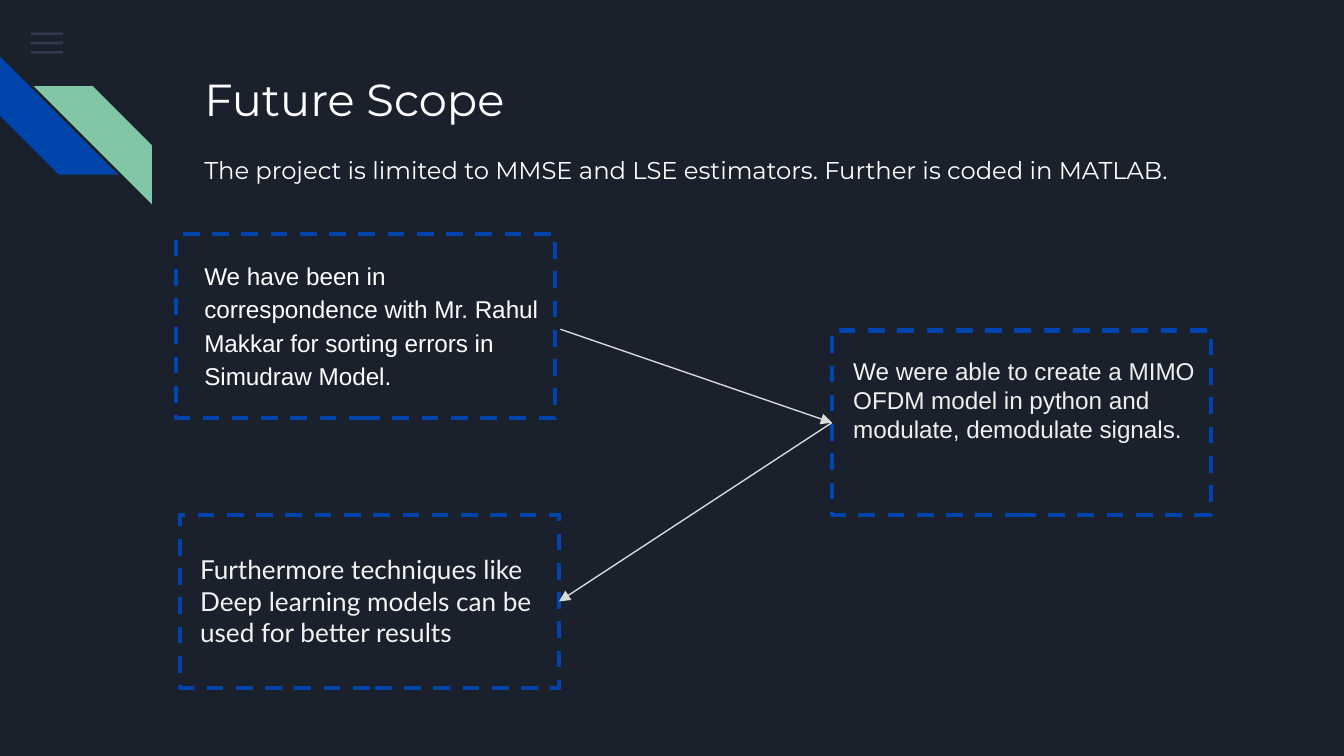
from lxml.etree import SubElement
from pptx import Presentation
from pptx.dml.color import RGBColor
from pptx.enum.dml import MSO_LINE_DASH_STYLE as Dash
from pptx.enum.shapes import MSO_CONNECTOR as Connector, MSO_SHAPE as Shape
from pptx.enum.text import MSO_ANCHOR as Anchor, MSO_AUTO_SIZE as AutoSize, PP_ALIGN as Align
from pptx.oxml.ns import qn
from pptx.util import Inches, Pt

NAVY, SLATE, BLUE, GREEN = "1B212C", "55688B", "0145AC", "82C7A5"
WHITE, LIGHT, PALE, GREY = "FFFFFF", "EFEFEF", "F3F3F3", "D9D9D9"


def color(value):
    return RGBColor.from_string(value)


def add_shape(page, kind, area, fill=None):
    shape = page.shapes.add_shape(kind, *map(Inches, area))
    shape.shadow.inherit = False
    shape.line.fill.background()
    if fill:
        shape.fill.solid()
        shape.fill.fore_color.rgb = color(fill)
    else:
        shape.fill.background()
    return shape


def add_menu_bar(page, top):
    bar = add_shape(page, Shape.RECTANGLE, (0.23, top, 0.24, 0.02), SLATE)
    tint = bar.fill._xPr.find(".//" + qn("a:srgbClr"))
    SubElement(tint, qn("a:alpha"), val="36000")


def add_stripe(page, left, top, rotation, fill):
    stripe = add_shape(page, Shape.DIAGONAL_STRIPE, (left, top, 0.88, 0.88), fill)
    stripe.rotation = rotation


def add_frame(page, area):
    frame = add_shape(page, Shape.RECTANGLE, area)
    frame.line.color.rgb = color(BLUE)
    frame.line.width = Pt(2.25)
    frame.line.dash_style = Dash.DASH
    return frame


def write(box, area, text, size, font, ink, spacing=1.0):
    box.left, box.top, box.width, box.height = map(Inches, area)
    frame = box.text_frame
    frame.text = text
    frame.word_wrap = True
    frame.auto_size = AutoSize.NONE
    frame.vertical_anchor = Anchor.TOP
    frame.margin_left = frame.margin_right = Inches(0.1)
    frame.margin_top = frame.margin_bottom = Inches(0.1)
    para = frame.paragraphs[0]
    para.alignment = Align.LEFT
    para.line_spacing = spacing
    para.space_before = Pt(0)
    # Plain paragraph: no bullet and no hanging indent
    props = para._p.get_or_add_pPr()
    props.set("marL", "0")
    props.set("indent", "0")
    SubElement(props, qn("a:buNone"))
    span = para.runs[0]
    span.font.size = Pt(size)
    span.font.name = font
    span.font.color.rgb = color(ink)


def add_text(page, area, *style):
    write(page.shapes.add_textbox(*map(Inches, area)), area, *style)


def add_arrow(page, start, end):
    arrow = page.shapes.add_connector(Connector.STRAIGHT, *map(Inches, start + end))
    arrow.line.color.rgb = color(GREY)
    arrow.line.width = Pt(0.75)
    SubElement(arrow.line._get_or_add_ln(), qn("a:tailEnd"), type="triangle")
    SubElement(arrow._element.spPr, qn("a:effectLst"))
    return arrow


def main():
    # Widescreen page, 16:9
    deck = Presentation()
    deck.slide_width = Inches(10)
    deck.slide_height = Inches(10) * 9 // 16
    page = deck.slides.add_slide(deck.slide_layouts[3])
    page.background.fill.solid()
    page.background.fill.fore_color.rgb = color(NAVY)

    # Corner decoration
    for row in range(3):
        add_menu_bar(page, 0.24 + 0.07 * row)
    add_stripe(page, 0, 0.42, 270, BLUE)
    add_stripe(page, 0.25, 0.64, 90, GREEN)

    # Title, subtitle and first note
    title, subtitle, body = page.placeholders
    write(title, (1.42, 0.43, 7.7, 0.59), "Future Scope", 24, "Montserrat", WHITE)
    write(subtitle, (1.42, 1.02, 7.38, 0.48),
          "The project is limited to MMSE and LSE estimators. Further is coded in MATLAB.",
          13, "Montserrat", WHITE, 1.15)
    write(body, (1.42, 1.81, 2.71, 1.37),
          "We have been in correspondence with Mr. Rahul Makkar for sorting errors in "
          "Simudraw Model.", 13, "Arial", WHITE, 1.15)
    body.text_frame.paragraphs[0].space_after = Pt(16)

    # Other notes
    add_text(page, (6.25, 2.55, 2.82, 1.29),
             "We were able to create a MIMO OFDM model in python and modulate, "
             "demodulate signals.", 13, "Arial", LIGHT)
    add_text(page, (1.39, 4.02, 2.82, 1.37),
             "Furthermore techniques like Deep learning models can be used for better results",
             14, "Lato", PALE)

    # Dashed frames
    add_frame(page, (1.31, 1.74, 2.82, 1.37))
    model_frame = add_frame(page, (6.19, 2.46, 2.82, 1.37))
    learning_frame = add_frame(page, (1.34, 3.83, 2.82, 1.29))

    # Arrows between the frames
    to_model = add_arrow(page, (4.17, 2.45), (6.19, 3.15))
    to_model.end_connect(model_frame, 1)
    to_learning = add_arrow(page, (6.19, 3.15), (4.16, 4.48))
    to_learning.begin_connect(model_frame, 1)
    to_learning.end_connect(learning_frame, 3)

    deck.save("out.pptx")


if __name__ == "__main__":
    main()
